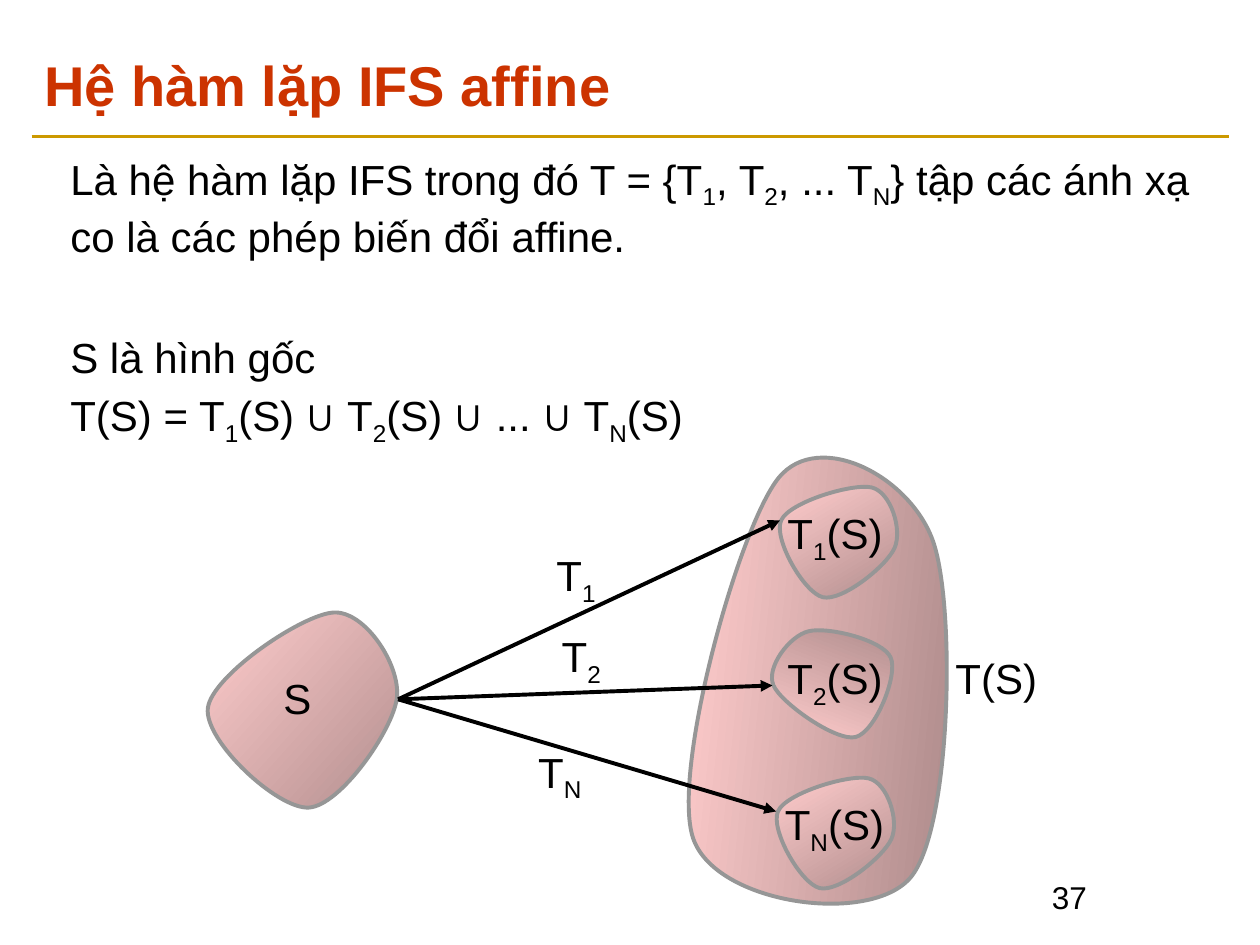
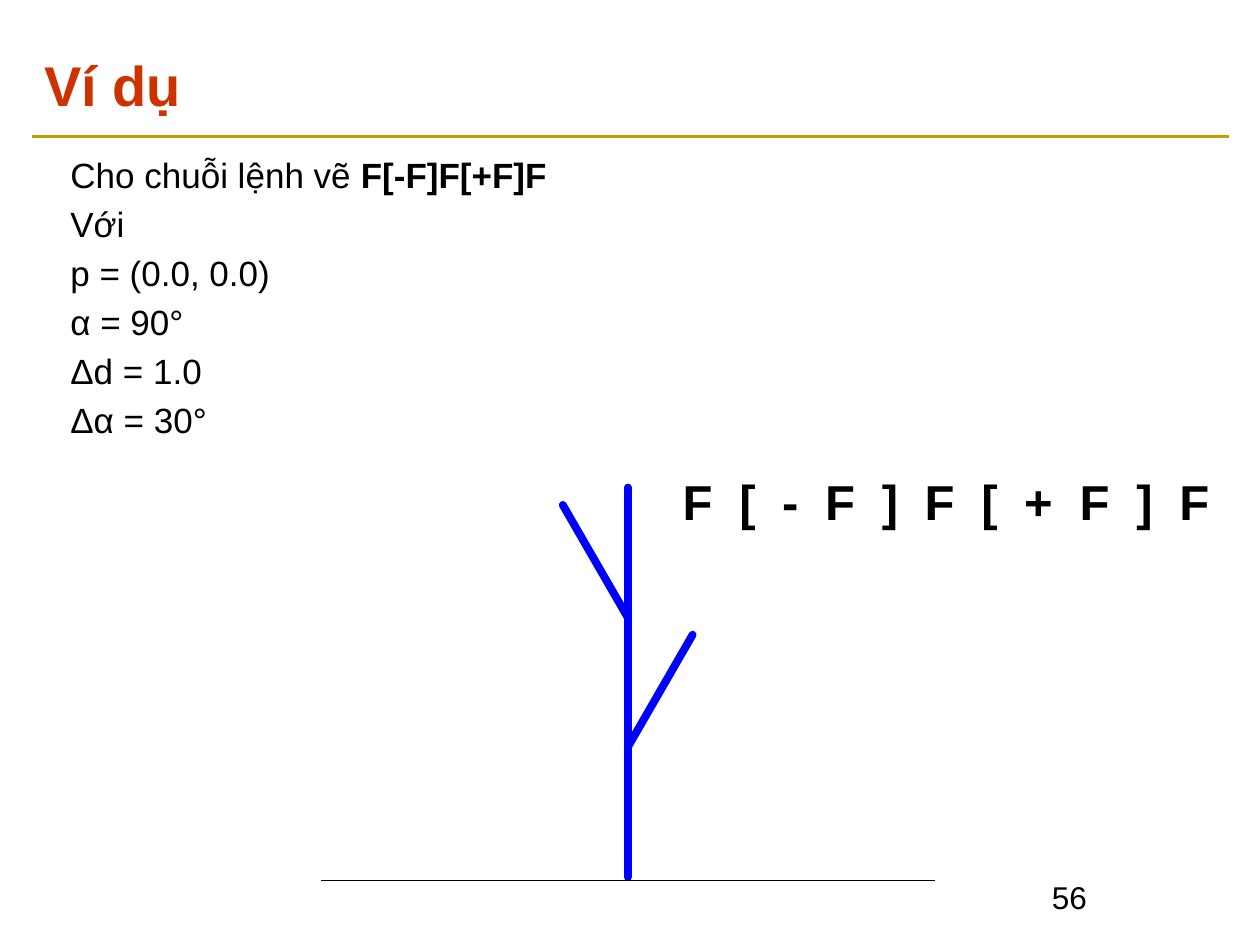
from math import cos, radians, sin

from lxml.etree import SubElement
from pptx import Presentation
from pptx.dml.color import RGBColor
from pptx.enum.shapes import MSO_CONNECTOR
from pptx.enum.text import MSO_ANCHOR, MSO_AUTO_SIZE, PP_ALIGN
from pptx.oxml.ns import qn
from pptx.util import Pt

COLORS = {
    "text": "000000",
    "title": "CC3300",
    "rule": "CC9900",
    "outline": "969696",
    "blob dark": "B38F8F",
    "blob light": "FFCCCC",
    "branch": "0000FF",
}


def write(text_frame, *lines, size=24, color="text", bold=False, bullets=True):
    """Write one paragraph per line; "_" lowers the next character, "*" wraps bold text."""
    for index, line in enumerate(lines):
        paragraph = text_frame.paragraphs[0] if index == 0 else text_frame.add_paragraph()
        paragraph.alignment = PP_ALIGN.LEFT
        if index == 0:
            paragraph.space_before = Pt(0)
        if not bullets:
            properties = paragraph._p.get_or_add_pPr()
            properties.set("marL", "0")
            properties.set("indent", "0")
            SubElement(properties, qn("a:buNone"))
        for part_index, part in enumerate(line.split("*")):
            for piece_index, piece in enumerate(part.split("_")):
                lowered = piece[:1] if piece_index else ""
                for text in (lowered, piece[len(lowered):]):
                    if not text:
                        continue
                    run = paragraph.add_run()
                    run.text = text
                    run.font.name = "Arial"
                    run.font.size = Pt(size)
                    run.font.bold = bold or part_index % 2 == 1
                    run.font.color.rgb = RGBColor.from_string(COLORS[color])
                    if text is lowered:
                        run._r.get_or_add_rPr().set("baseline", "-25000")


def draw_line(slide, start, end, color="text", width=2.25, cap="flat", arrow=False):
    connector = slide.shapes.add_connector(
        MSO_CONNECTOR.STRAIGHT, *(Pt(value) for value in (*start, *end)))
    connector.line.color.rgb = RGBColor.from_string(COLORS[color])
    connector.line.width = Pt(width)
    outline = connector.line._get_or_add_ln()
    outline.set("cap", cap)
    if arrow:
        SubElement(outline, qn("a:tailEnd"), type="triangle")
    SubElement(connector._element.spPr, qn("a:effectLst"))
    return connector


presentation = Presentation()
presentation.slide_width, presentation.slide_height = Pt(720), Pt(540)
layout = presentation.slide_layouts[1]

# Titles, body lists and page numbers
pages = [
    ("Hệ hàm lặp IFS affine", "37", 24, 414, [
        "Là hệ hàm lặp IFS trong đó T = {T_1, T_2, ... T_N} tập các ánh xạ "
        "co là các phép biến đổi affine.",
        "S là hình gốc",
        "T(S) = T_1(S) ∪ T_2(S) ∪ ... ∪ T_N(S)",
    ]),
    ("Ví dụ", "56", 20, 175, [
        "Cho chuỗi lệnh vẽ *F[-F]F[+F]F*",
        "Với",
        "p = (0.0, 0.0)",
        "α = 90°",
        "Δd = 1.0",
        "Δα = 30°",
    ]),
]
for title_text, page_number, body_size, body_height, lines in pages:
    slide = presentation.slides.add_slide(layout)
    title, body = slide.shapes.title, slide.placeholders[1]
    title.left, title.top, title.width, title.height = Pt(18), Pt(24), Pt(684), Pt(48)
    title.text_frame.vertical_anchor = MSO_ANCHOR.MIDDLE
    write(title.text_frame, title_text, size=32, color="title", bold=True)
    body.left, body.top, body.width, body.height = Pt(33), Pt(84), Pt(655), Pt(body_height)
    write(body.text_frame, *lines, size=body_size, bullets=False)
    for placeholder in (title, body):
        placeholder.text_frame.auto_size = MSO_AUTO_SIZE.NONE
    number_box = slide.shapes.add_textbox(Pt(594), Pt(498), Pt(108), Pt(36))
    write(number_box.text_frame, page_number, size=18)

ifs_slide, turtle_slide = presentation.slides

# The rule under the title belongs to the layout
rule = draw_line(ifs_slide, (18, 78), (702, 78), color="rule")
rule._element.nvCxnSpPr.cNvPr.set("id", "20")
layout.shapes._spTree.append(rule._element)

# Slide 1: the figure S and its images under the mappings
ifs_slide.placeholders[1].text_frame.paragraphs[1].space_before = Pt(40)

small_blob = [(498.2, 278.6), (511.2, 313.2), (470.2, 341.3), (446.4, 297.4)]
blobs = [  # corner points, clockwise turn of the gradient
    ([(445, 273), (533.5, 310.3), (520.6, 501.1), (396, 478.8)], 6),
    ([(190.8, 350), (226.8, 399), (176.4, 461.5), (118.8, 404.6)], 42),
    ([(442, 391.7), (462.2, 360.7), (509, 375.8), (488.9, 421.2)], 291),
    (small_blob, 59),
    ([(x - 1.8, y + 166.2) for x, y in small_blob], 59),
]
for corners, turn in blobs:
    points = [(Pt(x), Pt(y)) for x, y in corners]
    builder = ifs_slide.shapes.build_freeform(*points[0])
    builder.add_line_segments(points[1:] + points[:1])
    blob = builder.convert_to_shape()
    blob.shadow.inherit = False
    blob.fill.gradient()
    blob.fill.gradient_angle = (180 - turn) % 360
    for stop, color in zip(blob.fill.gradient_stops, ("blob dark", "blob light")):
        stop.color.rgb = RGBColor.from_string(COLORS[color])
    blob.line.color.rgb = RGBColor.from_string(COLORS["outline"])
    blob.line.width = Pt(2.25)

    # Round each side: a handle is a sixth of the chord between the corner's neighbours
    sides = list(blob._element.iter(qn("a:lnTo")))
    for index, side in enumerate(sides):
        before, start, end, after = (points[(index + step) % 4] for step in (-1, 0, 1, 2))
        first_handle = [s + (e - b) / 6 for b, s, e in zip(before, start, end)]
        second_handle = [e - (a - s) / 6 for s, e, a in zip(start, end, after)]
        curve = side.makeelement(qn("a:cubicBezTo"))
        for x, y in (first_handle, second_handle, end):
            SubElement(curve, qn("a:pt"), x=str(round(x - blob.left)), y=str(round(y - blob.top)))
        side.getparent().replace(side, curve)

for arrow_end in ((445.7, 297.4), (441.4, 391.7), (443.5, 463.7)):
    draw_line(ifs_slide, (227.5, 399.6), arrow_end, arrow=True)

labels = [
    ("S", 162, 384.5, 16),
    ("T_1(S)", 450, 290, 55.5),
    ("T_2(S)", 450, 373, 55.5),
    ("T_N(S)", 448.5, 456.5, 58.5),
    ("T(S)", 546, 373, 47),
    ("T_1", 318, 314, 24),
    ("T_2", 321, 360.5, 24),
    ("T_N", 307.5, 426.5, 26),
]
for text, left, top, width in labels:
    text_frame = ifs_slide.shapes.add_textbox(Pt(left), Pt(top), Pt(width), Pt(29)).text_frame
    text_frame.margin_left = text_frame.margin_right = 0
    text_frame.margin_top = text_frame.margin_bottom = 0
    write(text_frame, text)

# Slide 2: the turtle draws its commands while they are spelled out
STEP, TURN = 74.2, 30
symbol_widths = {"F": 32.4, "+": 31.7}
position, heading = (358.7, 501.2), 90
saved_states = []
symbol_left = 383
for symbol in "F[-F]F[+F]F":
    if symbol == "F":
        x, y = position
        target = (x + STEP * cos(radians(heading)), y - STEP * sin(radians(heading)))
        draw_line(turtle_slide, position, target, color="branch", width=4.5, cap="rnd")
        position = target
    elif symbol == "[":
        saved_states.append((position, heading))
    elif symbol == "]":
        position, heading = saved_states.pop()
    else:
        heading += TURN if symbol == "+" else -TURN

    symbol_width = symbol_widths.get(symbol, 24.5)
    symbol_box = turtle_slide.shapes.add_textbox(
        Pt(symbol_left), Pt(265.7), Pt(symbol_width), Pt(41))
    write(symbol_box.text_frame, symbol, size=28, bold=True)
    symbol_left += symbol_width

draw_line(turtle_slide, (183.6, 503.3), (534.2, 503.3), width=0.75)

presentation.save("out.pptx")
